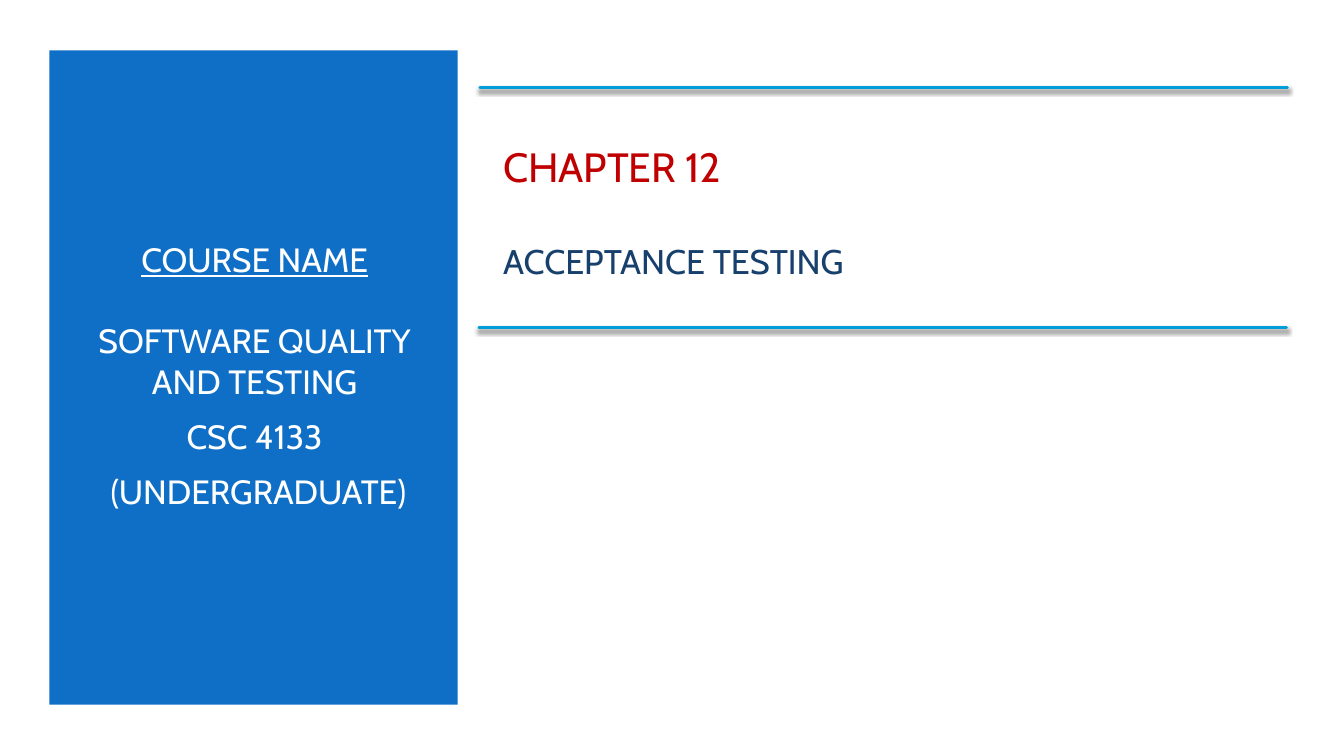
from lxml.etree import SubElement
from pptx import Presentation
from pptx.dml.color import RGBColor
from pptx.enum.shapes import MSO_CONNECTOR, MSO_SHAPE
from pptx.enum.text import MSO_ANCHOR, MSO_AUTO_SIZE, PP_ALIGN
from pptx.oxml.ns import qn
from pptx.util import Inches, Pt

SLIDE_WIDTH, SLIDE_HEIGHT = 13.33, 7.5
PANEL_BLUE = RGBColor(0x0F, 0x6F, 0xC6)
RULE_BLUE = RGBColor(0x00, 0x9D, 0xD9)
CHAPTER_RED = RGBColor(0xC0, 0x00, 0x00)
TOPIC_NAVY = RGBColor(0x17, 0x40, 0x6D)
WHITE = RGBColor(0xFF, 0xFF, 0xFF)
FONT = "Cabin"

PANEL = (0.49, 0.5, 4.05, 6.49)
COURSE = (0.84, 1.1, 3.37, 5.25)
HEADING = (4.89, 1.1, 7.85, 2)
RULE_LENGTH = 8.01
RULE_STARTS = [(4.76, 0.87), (4.75, 3.25)]


def place(shape, box):
    shape.left, shape.top, shape.width, shape.height = map(Inches, box)


def prepare_frame(frame):
    frame.word_wrap = True
    frame.auto_size = MSO_AUTO_SIZE.NONE
    frame.vertical_anchor = MSO_ANCHOR.MIDDLE


def write(frame, text, size, color, align=PP_ALIGN.LEFT, before=0, after=0, underline=False):
    paragraph = frame.paragraphs[0] if not frame.text else frame.add_paragraph()
    paragraph.alignment = align
    paragraph.space_before, paragraph.space_after = Pt(before), Pt(after)
    run = paragraph.add_run()
    run.text = text
    run.font.name = FONT
    run.font.size = Pt(size)
    run.font.color.rgb = color
    run.font.underline = underline


def add_panel(slide):
    panel = slide.shapes.add_shape(MSO_SHAPE.RECTANGLE, *map(Inches, PANEL))
    panel.shadow.inherit = False
    panel.fill.solid()
    panel.fill.fore_color.rgb = PANEL_BLUE
    panel.line.fill.background()


def add_course(slide):
    frame = slide.shapes.add_textbox(*map(Inches, COURSE)).text_frame
    prepare_frame(frame)
    lines = [
        ("COURSE NAME", 4.8, True),
        ("SOFTWARE QUALITY AND TESTING", 23, False),
        ("CSC 4133", 4.8, False),
        (" (UNDERGRADUATE)", 4.8, False),
    ]
    for text, before, underline in lines:
        write(frame, text, 24, WHITE, align=PP_ALIGN.CENTER,
              before=before, after=6, underline=underline)


def add_heading(slide):
    heading = slide.shapes.title
    place(heading, HEADING)
    frame = heading.text_frame
    prepare_frame(frame)
    write(frame, "CHAPTER 12", 29.2, CHAPTER_RED)
    write(frame, "ACCEPTANCE TESTING", 24.4, TOPIC_NAVY, before=35.5)


def add_rule(slide, left, top):
    rule = slide.shapes.add_connector(
        MSO_CONNECTOR.STRAIGHT,
        Inches(left), Inches(top), Inches(left + RULE_LENGTH), Inches(top))
    rule.line.color.rgb = RULE_BLUE
    rule.line.width = Pt(2)
    properties = rule._element.spPr
    properties.find(qn("a:ln")).set("cap", "rnd")
    effects = SubElement(properties, qn("a:effectLst"))
    shadow = SubElement(effects, qn("a:outerShdw"), blurRad=str(Pt(3)),
                        dist=str(Pt(2)), dir="5400000", rotWithShape="0")
    tint = SubElement(shadow, qn("a:srgbClr"), val="000000")
    SubElement(tint, qn("a:alpha"), val="55000")


def main():
    deck = Presentation()
    deck.slide_width, deck.slide_height = Inches(SLIDE_WIDTH), Inches(SLIDE_HEIGHT)
    slide = deck.slides.add_slide(deck.slide_layouts[5])
    add_panel(slide)
    add_course(slide)
    add_heading(slide)
    for left, top in RULE_STARTS:
        add_rule(slide, left, top)
    deck.save("out.pptx")


if __name__ == "__main__":
    main()
